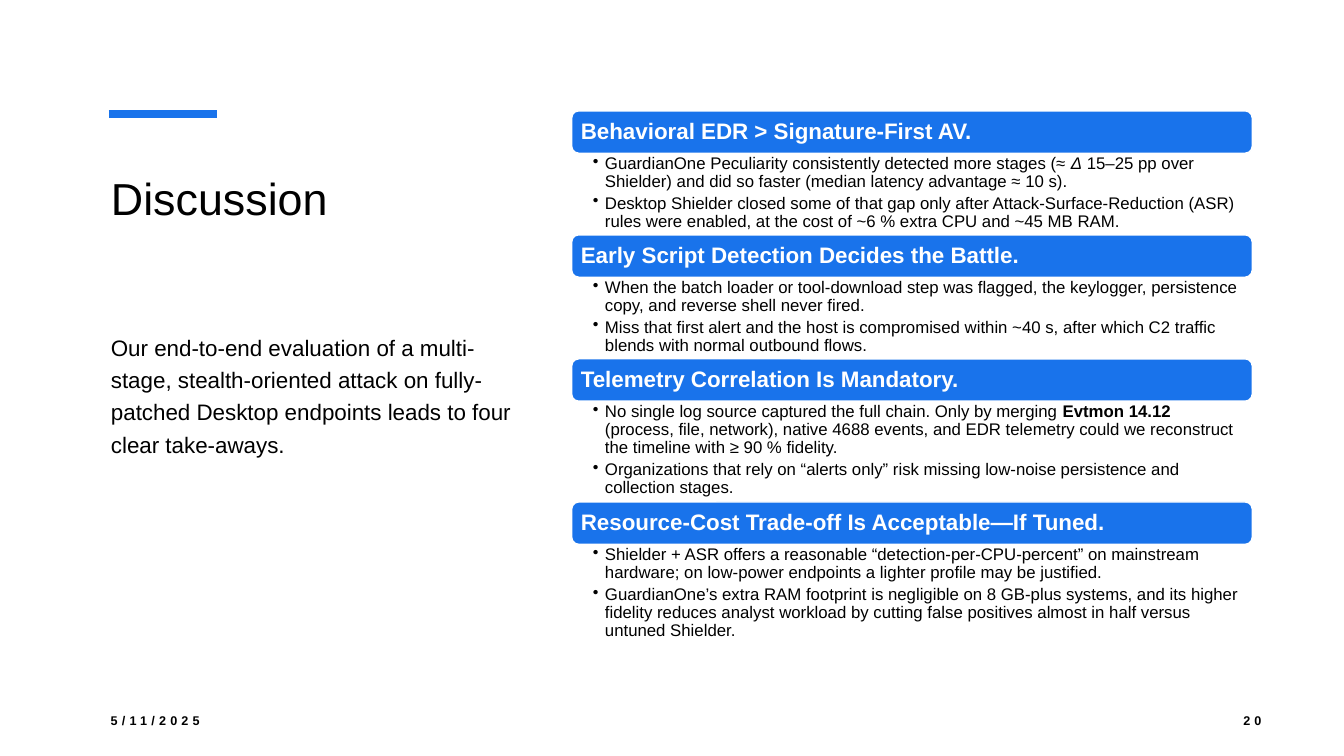
from lxml.etree import SubElement
from pptx import Presentation
from pptx.dml.color import RGBColor
from pptx.enum.shapes import MSO_CONNECTOR as Connector, MSO_SHAPE as Shape
from pptx.enum.text import MSO_ANCHOR as Anchor, MSO_AUTO_SIZE as AutoSize, PP_ALIGN as Align
from pptx.oxml.ns import qn
from pptx.util import Inches, Pt

BLUE = RGBColor(0x19, 0x73, 0xEB)
BLACK = RGBColor(0, 0, 0)
WHITE = RGBColor(255, 255, 255)
FONT = "Arial"

SECTION_LEFT, SECTION_TOP, SECTION_WIDTH = 5.67, 1.1, 6.75
HEADING_HEIGHT = 0.42

INTRO = ("Our end-to-end evaluation of a multi-stage, stealth-oriented attack on "
         "fully-patched Desktop endpoints leads to four clear take-aways.")

# Heading, height of the list below it, list items; an item may be a list of (text, style) runs
SECTIONS = [
    ("Behavioral EDR > Signature-First AV.", 0.81, [
        [("GuardianOne Peculiarity consistently detected more stages (≈ ", None),
         ("Δ", "italic"),
         (" 15–25 pp over Shielder) and did so faster (median latency advantage ≈ 10 s).", None)],
        "Desktop Shielder closed some of that gap only after Attack-Surface-Reduction "
        "(ASR) rules were enabled, at the cost of ~6 % extra CPU and ~45 MB RAM.",
    ]),
    ("Early Script Detection Decides the Battle.", 0.81, [
        "When the batch loader or tool-download step was flagged, the keylogger, "
        "persistence copy, and reverse shell never fired.",
        "Miss that first alert and the host is compromised within ~40 s, after which "
        "C2 traffic blends with normal outbound flows.",
    ]),
    ("Telemetry Correlation Is Mandatory.", 1.0, [
        [("No single log source captured the full chain. Only by merging ", None),
         ("Evtmon 14.12", "bold"),
         (" (process, file, network), native 4688 events, and EDR telemetry could we "
          "reconstruct the timeline with ≥ 90 % fidelity.", None)],
        "Organizations that rely on “alerts only” risk missing low-noise persistence "
        "and collection stages.",
    ]),
    ("Resource-Cost Trade-off Is Acceptable—If Tuned.", 1.0, [
        "Shielder + ASR offers a reasonable “detection-per-CPU-percent” on mainstream "
        "hardware; on low-power endpoints a lighter profile may be justified.",
        "GuardianOne’s extra RAM footprint is negligible on 8 GB-plus systems, and its "
        "higher fidelity reduces analyst workload by cutting false positives almost in "
        "half versus untuned Shielder.",
    ]),
]


def set_bullet(paragraph, bullet):
    """Give the paragraph a hanging bullet, or none when bullet is empty."""
    properties = paragraph._p.get_or_add_pPr()
    indent = Inches(0.12) if bullet else 0
    properties.set("marL", str(indent))
    properties.set("indent", str(-indent))
    if bullet:
        SubElement(properties, qn("a:buChar")).set("char", bullet)
    else:
        SubElement(properties, qn("a:buNone"))


def write(shape, items, size, color=BLACK, bold=False, align=Align.LEFT, anchor=Anchor.TOP,
          margins=(0.1, 0.05, 0.1, 0.05), line_spacing=1.0, space_after=0, bullet="",
          letter_spacing=0):
    """Fill the shape with one paragraph per item."""
    frame = shape.text_frame
    frame.word_wrap = True
    frame.auto_size = AutoSize.NONE
    frame.vertical_anchor = anchor
    (frame.margin_left, frame.margin_top,
     frame.margin_right, frame.margin_bottom) = map(Inches, margins)
    for index, item in enumerate(items):
        paragraph = frame.add_paragraph() if index else frame.paragraphs[0]
        paragraph.alignment = align
        paragraph.line_spacing = line_spacing
        paragraph.space_before = Pt(0)
        paragraph.space_after = Pt(space_after)
        set_bullet(paragraph, bullet)
        for text, style in [(item, None)] if isinstance(item, str) else item:
            run = paragraph.add_run()
            run.text = text
            run.font.name = FONT
            run.font.size = Pt(size)
            run.font.color.rgb = color
            run.font.bold = bold or style == "bold"
            run.font.italic = style == "italic"
            if letter_spacing:
                run._r.get_or_add_rPr().set("spc", str(letter_spacing * 100))


def place(shape, left, top, width, height):
    shape.left, shape.top = Inches(left), Inches(top)
    shape.width, shape.height = Inches(width), Inches(height)


def add_text(slide, items, left, top, width, height, **text_format):
    box = slide.shapes.add_textbox(Inches(left), Inches(top), Inches(width), Inches(height))
    write(box, items, **text_format)


def add_accent_line(slide):
    line = slide.shapes.add_connector(
        Connector.STRAIGHT, Inches(1.08), Inches(1.13), Inches(2.15), Inches(1.13))
    line.line.color.rgb = BLUE
    line.line.width = Pt(6)
    SubElement(line._element.spPr, qn("a:effectLst"))


def add_heading(slide, text, top):
    bar = slide.shapes.add_shape(
        Shape.ROUNDED_RECTANGLE, Inches(SECTION_LEFT), Inches(top),
        Inches(SECTION_WIDTH), Inches(HEADING_HEIGHT))
    bar.shadow.inherit = False
    bar.fill.solid()
    bar.fill.fore_color.rgb = BLUE
    bar.line.color.rgb = WHITE
    bar.line.width = Pt(1)
    write(bar, [text], size=16, color=WHITE, bold=True, anchor=Anchor.MIDDLE,
          margins=(0.07, 0.07, 0.07, 0.07), line_spacing=0.9)


def add_sections(slide):
    top = SECTION_TOP
    for heading, list_height, items in SECTIONS:
        add_heading(slide, heading, top)
        top += HEADING_HEIGHT
        add_text(slide, items, SECTION_LEFT, top, SECTION_WIDTH, list_height, size=12,
                 margins=(0.21, 0.02, 0.12, 0.02), line_spacing=0.9, space_after=2.4,
                 bullet="•")
        top += list_height


def add_footer(slide):
    footer_format = dict(size=9, bold=True, anchor=Anchor.MIDDLE, letter_spacing=3)
    add_text(slide, ["5/11/2025"], 1, 6.95, 3, 0.4, **footer_format)
    add_text(slide, ["20"], 11.82, 6.95, 0.79, 0.4, align=Align.RIGHT, **footer_format)


def main():
    presentation = Presentation()
    presentation.slide_width, presentation.slide_height = Inches(13.33), Inches(7.5)
    slide = presentation.slides.add_slide(presentation.slide_layouts[1])

    add_accent_line(slide)
    title, intro = slide.shapes.title, slide.placeholders[1]
    place(title, 1, 1.6, 4.22, 1.61)
    write(title, ["Discussion"], size=32, margins=(0.1, 0.09, 0.1, 0.05))
    place(intro, 1, 3.21, 4.22, 3.21)
    write(intro, [INTRO], size=16, line_spacing=1.2)
    add_sections(slide)
    add_footer(slide)

    presentation.save("out.pptx")


if __name__ == "__main__":
    main()
